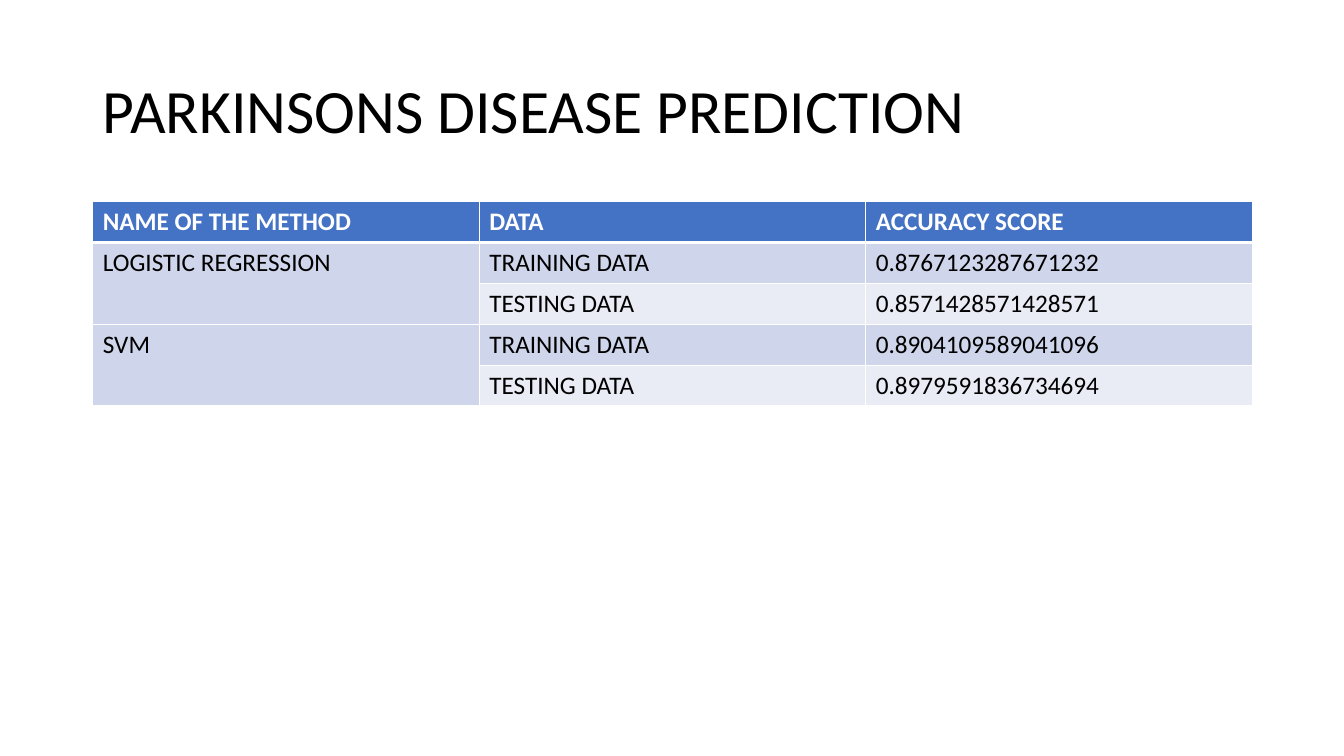
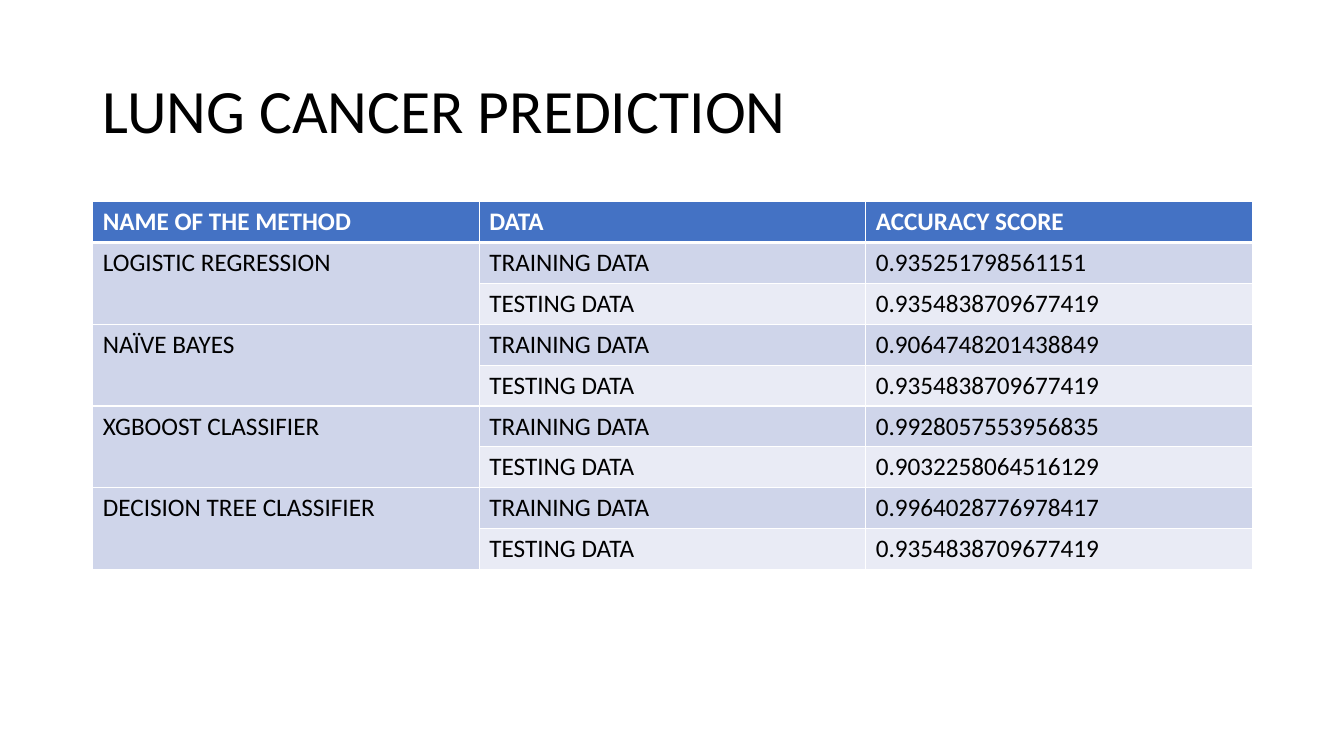
from dataclasses import dataclass
from lxml import etree
from pptx import Presentation, util as u
from pptx.dml.color import RGBColor
from pptx.enum import text
from pptx.oxml.ns import qn

HEADER = ("NAME OF THE METHOD", "DATA", "ACCURACY SCORE")
DATA_SETS = ("TRAINING DATA", "TESTING DATA")
SLIDES = [
    ("PARKINSONS DISEASE PREDICTION", [
        ("LOGISTIC REGRESSION", ("0.8767123287671232", "0.8571428571428571")),
        ("SVM", ("0.8904109589041096", "0.8979591836734694")),
    ]),
    ("LUNG CANCER PREDICTION", [
        ("LOGISTIC REGRESSION", ("0.935251798561151", "0.9354838709677419")),
        ("NAÏVE BAYES", ("0.9064748201438849", "0.9354838709677419")),
        ("XGBOOST CLASSIFIER", ("0.9928057553956835", "0.9032258064516129")),
        ("DECISION TREE CLASSIFIER", ("0.9964028776978417", "0.9354838709677419")),
    ]),
]


@dataclass(frozen=True)
class Theme:
    font: str = "Calibri"
    ink: str = "000000"
    paper: str = "FFFFFF"
    header: str = "4472C4"
    bands: tuple = ("CFD5EA", "E9EBF5")
    title_size: int = 44
    cell_size: int = 18
    rule: int = 1
    header_rule: int = 3


T = Theme()
WIDTH, HEIGHT = 13.33, 7.5
MARGIN = 0.92
CONTENT_WIDTH = 11.5
TITLE_TOP, TITLE_HEIGHT = 0.4, 1.45
TABLE_TOP, ROW_HEIGHT = 2, 0.4


def write(tf, content, size=T.cell_size, color=T.ink, bold=False, spacing=None):
    p = tf.paragraphs[0]
    p.alignment = text.PP_ALIGN.LEFT
    if spacing:
        p.line_spacing = spacing
    r = p.add_run()
    r.text = content
    r.font.name, r.font.size, r.font.bold = T.font, u.Pt(size), bold
    r.font.color.rgb = RGBColor.from_string(color)


def set_borders(cell, top, bottom):
    tcPr = cell._tc.get_or_add_tcPr()
    for side, width in (("L", T.rule), ("R", T.rule), ("T", top), ("B", bottom)):
        ln = etree.SubElement(tcPr, qn(f"a:ln{side}"), w=str(u.Pt(width)))
        fill = etree.SubElement(ln, qn("a:solidFill"))
        etree.SubElement(fill, qn("a:srgbClr"), val=T.paper)


def style_cell(cell, row, column):
    set_borders(cell, T.header_rule if row == 1 else T.rule,
                T.header_rule if row == 0 else T.rule)
    if row == 0:
        color = T.header
    else:
        color = T.bands[0 if column == 0 else (row - 1) % len(T.bands)]
    cell.fill.solid()
    cell.fill.fore_color.rgb = RGBColor.from_string(color)


def add_title(s, title):
    sp = s.shapes.title
    sp.left, sp.top, sp.width, sp.height = map(
        u.Inches, (MARGIN, TITLE_TOP, CONTENT_WIDTH, TITLE_HEIGHT))
    tf = sp.text_frame
    tf.word_wrap = True
    tf.auto_size = text.MSO_AUTO_SIZE.NONE
    tf.vertical_anchor = text.MSO_ANCHOR.MIDDLE
    write(tf, title, size=T.title_size, spacing=0.9)


def add_scores(s, methods):
    rows = [HEADER] + [
        (method if i == 0 else "", DATA_SETS[i], score)
        for method, scores in methods for i, score in enumerate(scores)]
    table = s.shapes.add_table(
        len(rows), len(HEADER), u.Inches(MARGIN), u.Inches(TABLE_TOP),
        u.Inches(CONTENT_WIDTH), u.Inches(ROW_HEIGHT * len(rows))).table
    for y, row in enumerate(rows):
        for x, content in enumerate(row):
            cell = table.cell(y, x)
            style_cell(cell, y, x)
            if content:
                write(cell.text_frame, content, bold=y == 0,
                      color=T.paper if y == 0 else T.ink)
    group = len(DATA_SETS)
    for y in range(1, len(rows), group):
        table.cell(y, 0).merge(table.cell(y + group - 1, 0))


def main():
    prs = Presentation()
    prs.slide_width, prs.slide_height = u.Inches(WIDTH), u.Inches(HEIGHT)
    layout = prs.slide_layouts.get_by_name("Title Only")
    for title, methods in SLIDES:
        s = prs.slides.add_slide(layout)
        add_title(s, title)
        add_scores(s, methods)
    prs.save("out.pptx")


if __name__ == "__main__":
    main()
